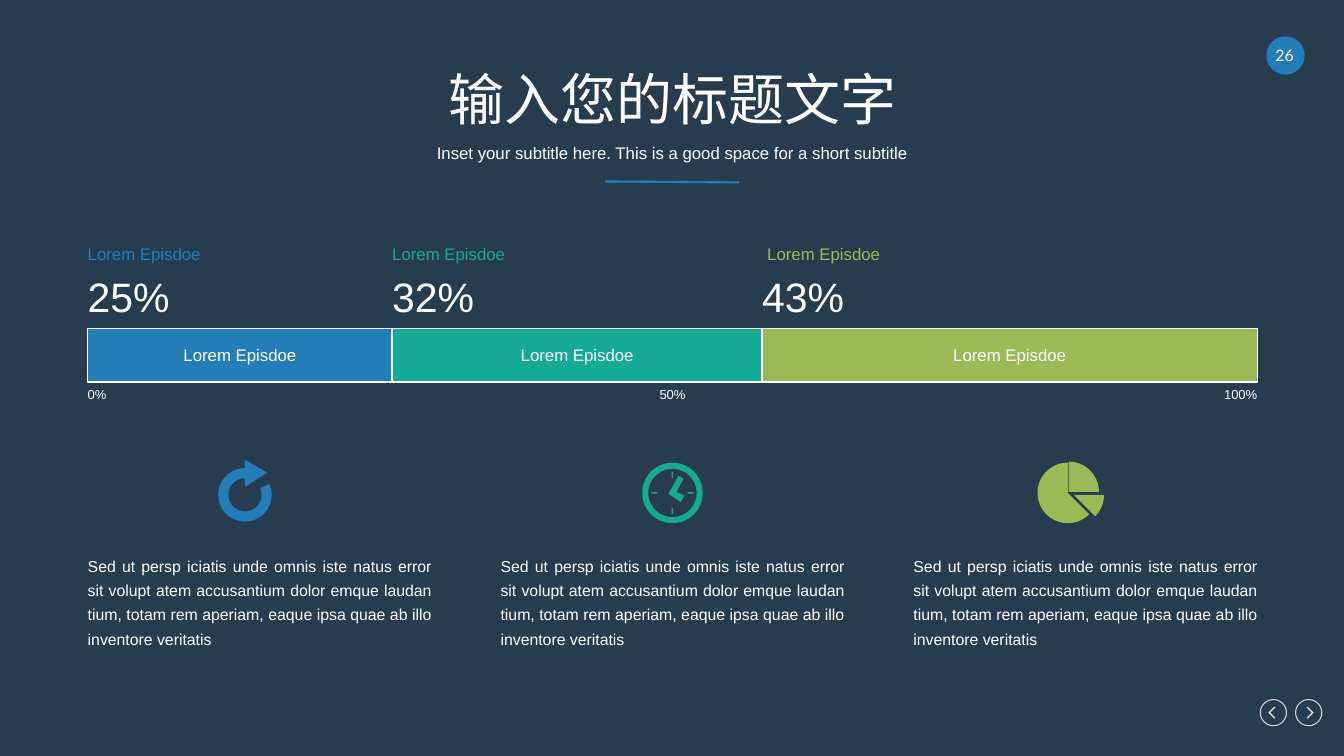
from math import cos, radians, sin

from lxml.etree import SubElement
from pptx import Presentation
from pptx.dml.color import RGBColor
from pptx.enum.shapes import MSO_CONNECTOR, MSO_SHAPE
from pptx.enum.text import MSO_ANCHOR, MSO_AUTO_SIZE, PP_ALIGN
from pptx.oxml.ns import qn
from pptx.util import Inches, Pt

NAVY = RGBColor(0x28, 0x3C, 0x50)
BLUE = RGBColor(0x23, 0x7D, 0xB9)
TEAL = RGBColor(0x14, 0xAA, 0x96)
GREEN = RGBColor(0x9B, 0xB9, 0x55)
WHITE = RGBColor(0xFF, 0xFF, 0xFF)
GREY = RGBColor(0xD9, 0xD9, 0xD9)

TITLE = "输入您的标题文字"
SUBTITLE = "Inset your subtitle here. This is a good space for a short subtitle"
LABEL = "Lorem Episdoe"
# share, colour, left edge, width, left of the label above the bar
SEGMENTS = [
    ("25%", BLUE, 0.87, 3.02, 0.87),
    ("32%", TEAL, 3.89, 3.67, 3.89),
    ("43%", GREEN, 7.56, 4.91, 7.61),
]
SCALE_MARKS = [("0%", PP_ALIGN.LEFT), ("50%", PP_ALIGN.CENTER), ("100%", PP_ALIGN.RIGHT)]
BODY = ("Sed ut persp iciatis unde omnis iste natus error sit volupt atem "
        "accusantium dolor emque laudan tium, totam rem aperiam, eaque ipsa "
        "quae ab illo inventore veritatis")

LEFT, WIDTH = 0.87, 11.6
BAR_TOP, BAR_HEIGHT = 3.26, 0.53
MARK_WIDTH, COLUMN_WIDTH = 0.46, 3.41

deck = Presentation()
deck.slide_width, deck.slide_height = Inches(13.33), Inches(7.5)
page = deck.slides.add_slide(deck.slide_layouts[0])
page.background.fill.solid()
page.background.fill.fore_color.rgb = NAVY


def write(box, text, size, color=WHITE, align=PP_ALIGN.LEFT, font="Arial"):
    """Put one formatted paragraph into a box without margins."""
    frame = box.text_frame
    frame.word_wrap = True
    frame.auto_size = MSO_AUTO_SIZE.NONE
    frame.margin_left = frame.margin_right = frame.margin_top = frame.margin_bottom = 0
    para = frame.paragraphs[0]
    para.text = text
    para.alignment = align
    para.space_before = Pt(0)
    para.font.name, para.font.size = font, Pt(size)
    para.font.color.rgb = color
    return para


def add_text(area, *args, **options):
    """Add a text box at (left, top, width, height)."""
    box = page.shapes.add_textbox(*map(Inches, area))
    return write(box, *args, **options)


def fill_placeholder(box, area, text, size):
    """Move a placeholder and write centred text in it."""
    box.left, box.top, box.width, box.height = map(Inches, area)
    write(box, text, size, align=PP_ALIGN.CENTER)
    box.text_frame.vertical_anchor = MSO_ANCHOR.MIDDLE


def paint(shape, fill=None, line=None, weight=1):
    """Set fill and outline; None means neither is drawn."""
    shape.shadow.inherit = False
    if fill is None:
        shape.fill.background()
    else:
        shape.fill.solid()
        shape.fill.fore_color.rgb = fill
    if line is None:
        shape.line.fill.background()
    else:
        shape.line.color.rgb = line
        shape.line.width = Pt(weight)


def add_preset(kind, area, **colors):
    """Add a painted preset shape."""
    shape = page.shapes.add_shape(kind, *map(Inches, area))
    paint(shape, **colors)
    return shape


def add_outline(points, color):
    """Add a filled closed outline through points in inches."""
    corners = [(Inches(x), Inches(y)) for x, y in points]
    builder = page.shapes.build_freeform(*corners[0], scale=1.0)
    builder.add_line_segments(corners[1:], close=True)
    paint(builder.convert_to_shape(), fill=color)


def arc(x, y, radius, start, end, steps=48):
    """Return points on an arc, in degrees clockwise from the right."""
    angles = [radians(start + (end - start) * i / steps) for i in range(steps + 1)]
    return [(x + radius * cos(a), y + radius * sin(a)) for a in angles]


def draw_refresh(x, y):
    """Draw the circular arrow around a centre."""
    head = [(x, y - 0.35), (x + 0.22, y - 0.22), (x, y - 0.08)]
    add_outline(arc(x, y, 0.265, -24, 270) + head + arc(x, y, 0.165, 270, -24), BLUE)


def draw_clock(x, y):
    """Draw the clock with ring, ticks and hands."""
    ring = add_preset(MSO_SHAPE.DONUT, (x - 0.3, y - 0.3, 0.6, 0.6), fill=TEAL)
    ring.adjustments[0] = 0.1
    for dx, dy in [(0, -1), (0, 1), (-1, 0), (1, 0)]:
        wide, high = (0.06, 0.015) if dx else (0.015, 0.06)
        add_preset(MSO_SHAPE.RECTANGLE, (x + 0.18 * dx - wide / 2, y + 0.18 * dy - high / 2,
                                         wide, high), fill=TEAL)
    hands = [(-0.04, 0.01), (0.06, -0.17), (0.11, -0.14), (0.04, -0.01), (0.12, 0.03), (0.08, 0.09)]
    add_outline([(x + dx, y + dy) for dx, dy in hands], TEAL)


def draw_pie(x, y):
    """Draw the pie with its three separated sectors."""
    for dx, dy, start, end in [(0, 0, 45, 270), (0.01, -0.01, -90, 0), (0.06, 0.02, 0, 45)]:
        tip = (x + dx, y + dy)
        add_outline([tip] + arc(*tip, 0.3, start, end), GREEN)


# Heading
fill_placeholder(page.shapes.title, (LEFT, 0.64, WIDTH, 0.67), TITLE, 40)
fill_placeholder(page.placeholders[1], (LEFT, 1.35, WIDTH, 0.33), SUBTITLE, 12)
rule = page.shapes.add_connector(
    MSO_CONNECTOR.STRAIGHT, Inches(6), Inches(1.8), Inches(7.33), Inches(1.81))
rule.line.color.rgb, rule.line.width = BLUE, Pt(1.5)
SubElement(rule.element.spPr, qn("a:effectLst"))

# Page number and navigation buttons
add_preset(MSO_SHAPE.OVAL, (12.56, 0.36, 0.38, 0.38), fill=BLUE)
add_text((12.58, 0.45, 0.32, 0.19), "26", 11.3, align=PP_ALIGN.CENTER, font="Lato")
CHEVRON = [(0.01, -0.06), (0.02, -0.05), (-0.03, 0), (0.02, 0.05), (0.01, 0.06), (-0.05, 0)]
for center, side in [(12.63, 1), (12.98, -1)]:
    add_preset(MSO_SHAPE.OVAL, (center - 0.13, 6.94, 0.26, 0.26), line=GREY, weight=0.75)
    add_outline([(center + side * dx, 7.07 + dy) for dx, dy in CHEVRON], GREY)

# Segmented bar
for share, color, left, width, label_left in SEGMENTS:
    add_text((label_left, 2.42, 1.46, 0.22), LABEL, 12, color)
    add_text((left, 2.69, 1.07, 0.48), share, 29.3)
    segment = add_preset(MSO_SHAPE.RECTANGLE, (left, BAR_TOP, width, BAR_HEIGHT),
                         fill=color, line=WHITE)
    write(segment, LABEL, 12, align=PP_ALIGN.CENTER)
    segment.text_frame.vertical_anchor = MSO_ANCHOR.MIDDLE
for index, (mark, align) in enumerate(SCALE_MARKS):
    mark_left = LEFT + index * (WIDTH - MARK_WIDTH) / 2
    add_text((mark_left, 3.83, MARK_WIDTH, 0.17), mark, 9.3, align=align)

# Icons and columns
draw_refresh(2.43, 4.91)
draw_clock(6.67, 4.89)
draw_pie(10.59, 4.89)
for index in range(3):
    column_left = LEFT + index * (WIDTH - COLUMN_WIDTH) / 2
    para = add_text((column_left, 5.47, COLUMN_WIDTH, 0.95), BODY, 11.3, align=PP_ALIGN.JUSTIFY)
    para.line_spacing = Pt(17.3)

deck.save("out.pptx")
